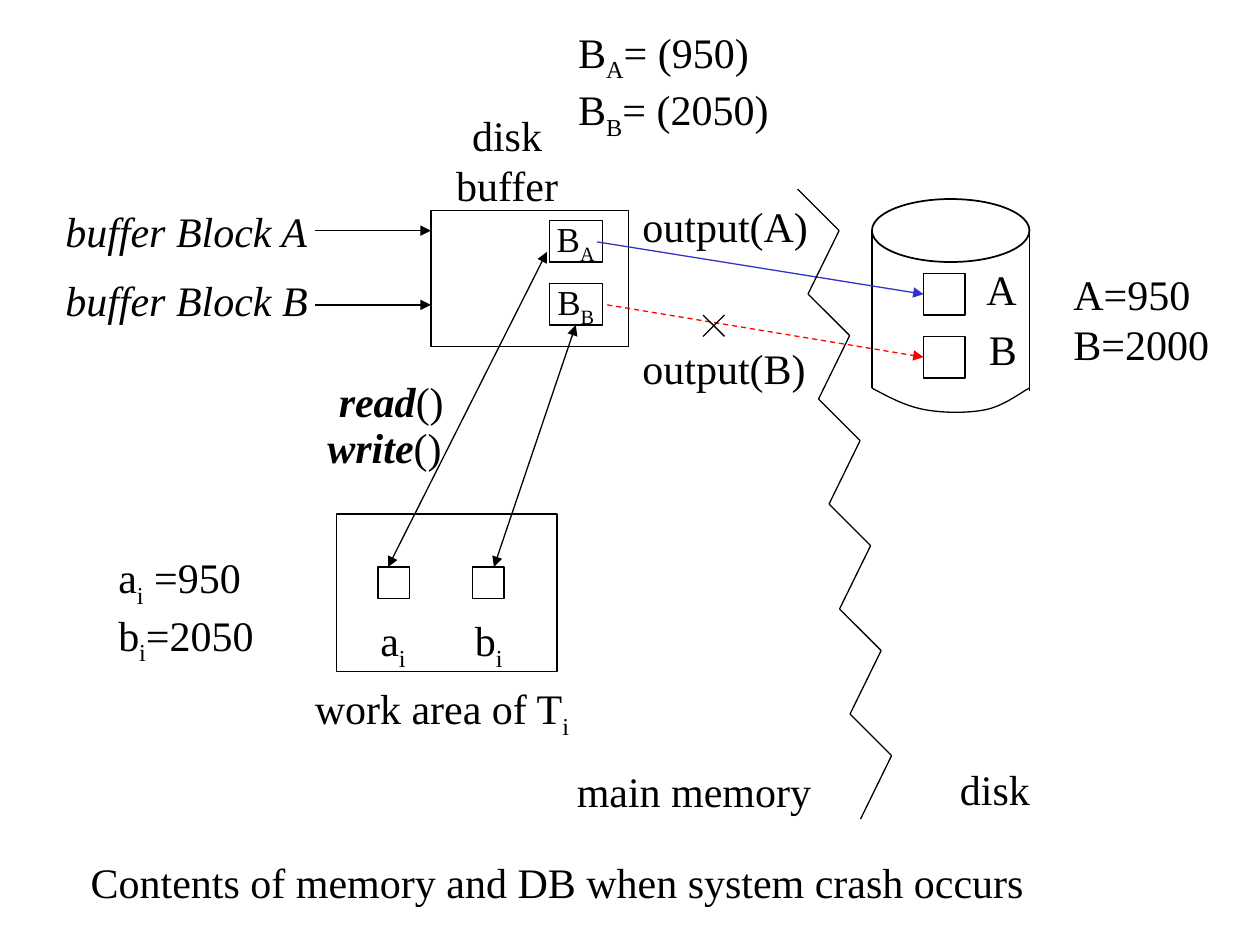
from dataclasses import dataclass

from lxml.etree import SubElement
from pptx import Presentation
from pptx.dml.color import RGBColor
from pptx.enum.dml import MSO_LINE
from pptx.enum.shapes import MSO_CONNECTOR, MSO_SHAPE
from pptx.enum.text import MSO_ANCHOR, MSO_AUTO_SIZE, PP_ALIGN
from pptx.oxml.ns import qn
from pptx.util import Inches, Pt


@dataclass(frozen=True)
class Theme:
    font: str = "Times New Roman"
    black: RGBColor = RGBColor(0x00, 0x00, 0x00)
    blue: RGBColor = RGBColor(0x33, 0x33, 0xCC)
    red: RGBColor = RGBColor(0xFF, 0x00, 0x00)
    text_size: Pt = Pt(24)
    block_size: Pt = Pt(20)
    thin: Pt = Pt(0.75)
    rim: Pt = Pt(1)


THEME = Theme()
LEFT, BOTTOM = 1, 2  # connection sites of a rectangle


def write_lines(frame, lines, size=THEME.text_size, align=PP_ALIGN.LEFT):
    """Each line is a list of (text, style) pairs: "", "sub", "italic" or "bold italic"."""
    for index, line in enumerate(lines):
        paragraph = frame.paragraphs[0] if index == 0 else frame.add_paragraph()
        paragraph.alignment = align
        for text, style in line:
            run = paragraph.add_run()
            run.text = text
            run.font.name = THEME.font
            run.font.size = size
            run.font.color.rgb = THEME.black
            if "bold" in style:
                run.font.bold = True
            if "italic" in style:
                run.font.italic = True
            if style == "sub":
                run._r.get_or_add_rPr().set("baseline", "-25000")


def add_label(slide, box, *lines, align=PP_ALIGN.LEFT):
    label = slide.shapes.add_textbox(*map(Inches, box))
    label.text_frame.word_wrap = True
    label.text_frame.auto_size = MSO_AUTO_SIZE.SHAPE_TO_FIT_TEXT
    write_lines(label.text_frame, lines, align=align)


def style_outline(shape, width=THEME.thin):
    shape.shadow.inherit = False
    shape.fill.background()
    shape.line.color.rgb = THEME.black
    shape.line.width = width


def add_outline(slide, box, kind=MSO_SHAPE.RECTANGLE, width=THEME.thin):
    shape = slide.shapes.add_shape(kind, *map(Inches, box))
    style_outline(shape, width)
    return shape


def add_block(slide, top, name):
    block = add_outline(slide, (4.36, top, 0.42, 0.33))
    frame = block.text_frame
    frame.word_wrap = False
    frame.vertical_anchor = MSO_ANCHOR.MIDDLE
    frame.margin_top = frame.margin_bottom = 0
    write_lines(frame, [[("B", ""), (name, "sub")]], THEME.block_size, PP_ALIGN.CENTER)
    return block


def add_line(slide, start, end, color=THEME.black, dashed=False, arrows=(), join=None):
    line = slide.shapes.add_connector(MSO_CONNECTOR.STRAIGHT, *map(Inches, start + end))
    if join:
        line.end_connect(*join)
    line.line.color.rgb = color
    line.line.width = THEME.thin
    if dashed:
        line.line.dash_style = MSO_LINE.DASH
    properties = line._element.spPr
    for arrow in arrows:
        SubElement(properties.find(qn("a:ln")), qn(f"a:{arrow}"), type="triangle")
    SubElement(properties, qn("a:effectLst"))


def curve_points(p0, p1, p2, p3, steps=12):
    """Points along a cubic curve, without its first one."""
    for step in range(1, steps + 1):
        t = step / steps
        weights = ((1 - t) ** 3, 3 * t * (1 - t) ** 2, 3 * t * t * (1 - t), t ** 3)
        yield tuple(Inches(sum(w * p[axis] for w, p in zip(weights, (p0, p1, p2, p3))))
                    for axis in (0, 1))


def add_buffer(slide):
    add_outline(slide, (3.42, 1.67, 1.57, 1.08))
    blocks = [add_block(slide, 1.75, "A"), add_block(slide, 2.25, "B")]
    add_label(slide, (3.36, 0.82, 1.33, 0.9), [("disk", "")], [("buffer", "")],
              align=PP_ALIGN.CENTER)
    for name, top, arrow_y in (("A", 1.58, 1.83), ("B", 2.13, 2.42)):
        add_label(slide, (0.42, top, 2.3, 0.5), [(f"buffer Block {name}", "italic")])
        add_line(slide, (2.5, arrow_y), (3.42, arrow_y), arrows=["tailEnd"])
    return blocks


def add_disk(slide):
    add_outline(slide, (6.92, 1.58, 1.25, 0.5), MSO_SHAPE.OVAL, THEME.rim)
    add_line(slide, (6.92, 1.83), (6.92, 3.08))
    add_line(slide, (8.17, 1.85), (8.17, 3.1))
    # Curved base
    base_curves = (
        ((6.92, 3.08), (7.05, 3.15), (7.18, 3.22), (7.33, 3.25)),
        ((7.33, 3.25), (7.49, 3.28), (7.69, 3.28), (7.83, 3.25)),
        ((7.83, 3.25), (7.97, 3.22), (8.11, 3.11), (8.17, 3.08)),
    )
    builder = slide.shapes.build_freeform(Inches(6.92), Inches(3.08))
    for curve in base_curves:
        builder.add_line_segments(list(curve_points(*curve)), close=False)
    style_outline(builder.convert_to_shape())
    # Stored items
    items = [add_outline(slide, (7.33, top, 0.33, 0.33)) for top in (2.17, 2.67)]
    add_label(slide, (7.73, 2.04, 0.5, 0.5), [("A", "")])
    add_label(slide, (7.75, 2.52, 0.5, 0.5), [("B", "")])
    return items


def add_work_area(slide):
    add_outline(slide, (2.67, 4.08, 1.75, 1.25))
    for name, left in (("a", 3), ("b", 3.75)):
        add_outline(slide, (left, 4.5, 0.25, 0.25))
        add_label(slide, (left - 0.08, 4.83, 0.55, 0.56), [(name, ""), ("i", "sub")])
    add_label(slide, (2.4, 5.37, 2.4, 0.56), [("work area of T", ""), ("i", "sub")])


def add_transfers(slide, blocks, items):
    # Outputs from buffer to disk, the second one failing
    add_line(slide, (4.74, 1.92), (7.33, 2.33), THEME.blue,
             arrows=["tailEnd"], join=(items[0], LEFT))
    add_line(slide, (4.82, 2.42), (7.33, 2.83), THEME.red, dashed=True,
             arrows=["tailEnd"], join=(items[1], LEFT))
    add_line(slide, (5.58, 2.5), (5.75, 2.67))
    add_line(slide, (5.75, 2.5), (5.58, 2.67))
    for name, top in (("A", 1.54), ("B", 2.67)):
        add_label(slide, (5, top, 1.7, 0.5), [(f"output({name})", "")])
    # Reads and writes between buffer and work area
    both = ["headEnd", "tailEnd"]
    add_line(slide, (4.34, 2), (3.08, 4.5), arrows=both)
    add_line(slide, (3.92, 4.5), (4.57, 2.58), arrows=both, join=(blocks[1], BOTTOM))
    for name, left, top in (("read", 2.59, 2.93), ("write", 2.5, 3.3)):
        add_label(slide, (left, top, 1.25, 0.5), [(name, "bold italic"), ("()", "")])


def add_memory_border(slide):
    bends = []
    for tooth in range(6):
        x, y = 6.33 + tooth / 12, 1.5 + tooth * 5 / 6
        bends += [(x, y), (x + 0.33, y + 0.33)]
    bends.append((6.83, 6.5))
    for start, end in zip(bends, bends[1:]):
        add_line(slide, start, end)
    add_label(slide, (4.48, 6.03, 2.2, 0.5), [("main memory", "")])
    add_label(slide, (7.52, 6.01, 0.9, 0.5), [("disk", "")])


def add_values(slide):
    add_label(slide, (8.42, 2.08, 1.45, 0.9), [("A=950", "")], [("B=2000", "")])
    add_label(slide, (0.84, 4.33, 1.45, 1.01),
              [("a", ""), ("i", "sub"), (" =950", "")],
              [("b", ""), ("i", "sub"), ("=2050", "")])
    add_label(slide, (4.49, 0.16, 1.9, 1.01),
              [("B", ""), ("A", "sub"), ("= (950)", "")],
              [("B", ""), ("B", "sub"), ("= (2050)", "")])


def set_title(slide, text):
    title = slide.shapes.title
    title.left, title.top, title.width, title.height = map(Inches, (0.62, 6.75, 8, 0.5))
    title.text_frame.word_wrap = True
    title.text_frame.auto_size = MSO_AUTO_SIZE.NONE
    title.text_frame.vertical_anchor = MSO_ANCHOR.TOP
    write_lines(title.text_frame, [[(text, "")]])


def main():
    deck = Presentation()
    deck.slide_width, deck.slide_height = Inches(10), Inches(7.5)
    slide = deck.slides.add_slide(deck.slide_layouts[5])
    blocks = add_buffer(slide)
    items = add_disk(slide)
    add_work_area(slide)
    add_transfers(slide, blocks, items)
    add_memory_border(slide)
    add_values(slide)
    set_title(slide, "Contents of memory and DB when system crash occurs")
    deck.save("out.pptx")


if __name__ == "__main__":
    main()
